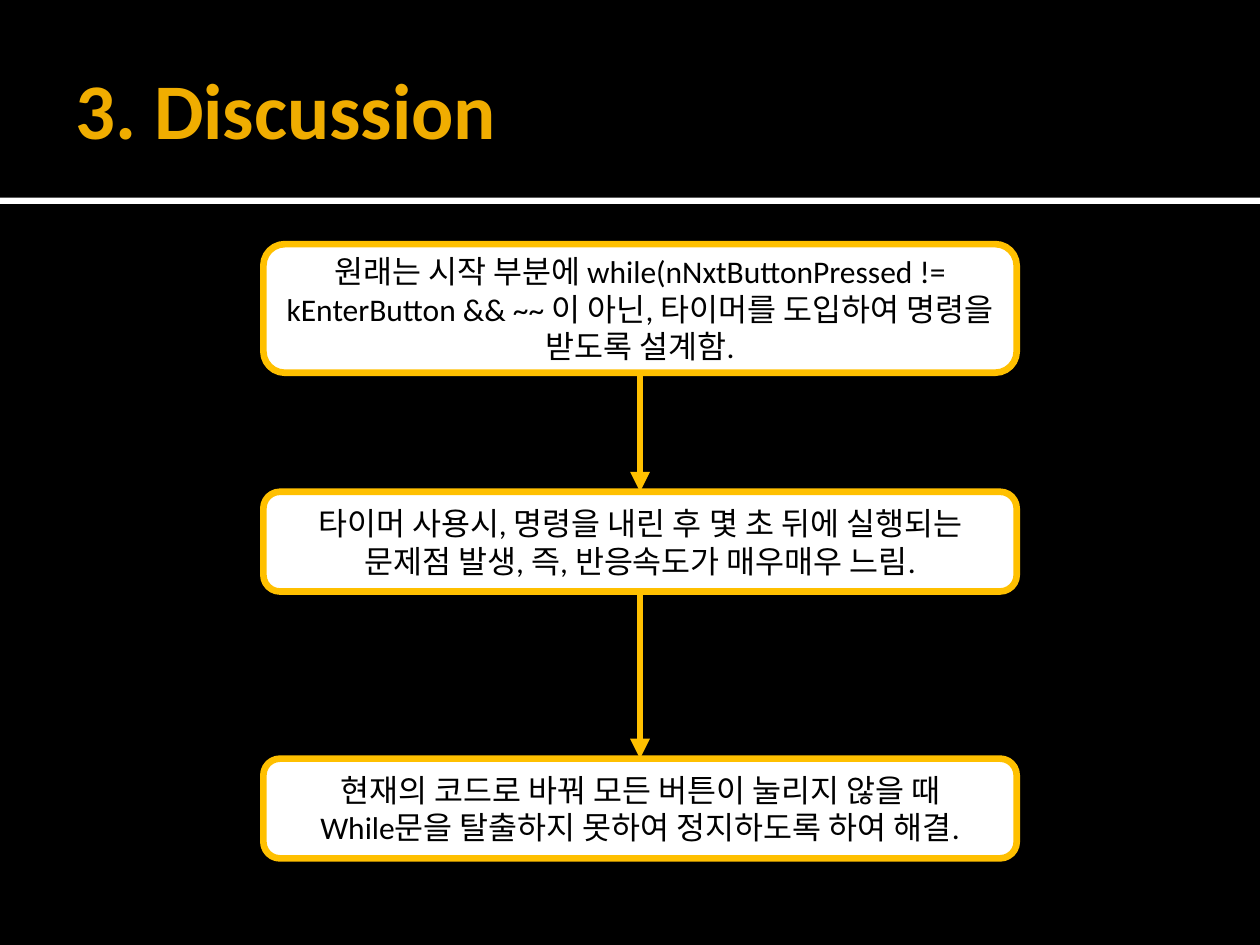
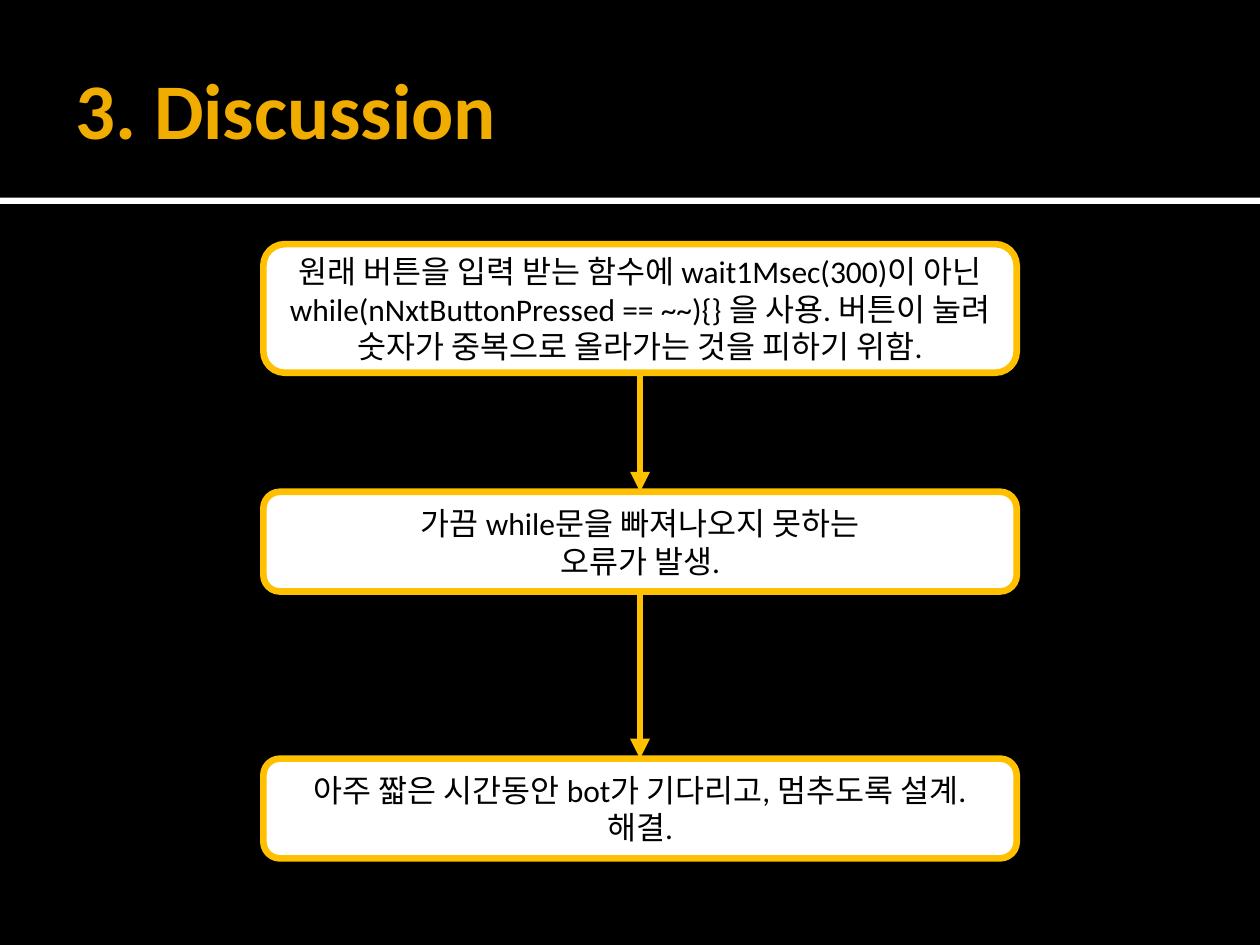
from pptx import Presentation
from pptx.dml.color import RGBColor
from pptx.enum.shapes import MSO_CONNECTOR, MSO_SHAPE
from pptx.enum.text import MSO_ANCHOR, PP_ALIGN
from pptx.oxml.ns import qn
from pptx.util import Pt
from lxml.etree import SubElement

BLACK = RGBColor(0x00, 0x00, 0x00)
WHITE = RGBColor(0xFF, 0xFF, 0xFF)
TITLE_GOLD = RGBColor(0xF0, 0xAD, 0x00)
BOX_GOLD = RGBColor(0xFF, 0xC0, 0x00)
FONT = "Calibri"
WIDTH, HEIGHT = 720, 540
BOX_LEFT, BOX_WIDTH = 150.5, 430.5
BOX_ROWS = [(139.5, 73.5), (281, 57), (433.5, 57)]  # top, height

DISCUSSIONS = [
    [
        ["원래는 시작 부분에 while(nNxtButtonPressed !=",
         "kEnterButton && ~~ 이 아닌, 타이머를 도입하여 명령을 받도록 설계함."],
        ["타이머 사용시, 명령을 내린 후 몇 초 뒤에 실행되는 문제점 발생, 즉, 반응속도가 매우매우 느림."],
        ["현재의 코드로 바꿔 모든 버튼이 눌리지 않을 때",
         "While문을 탈출하지 못하여 정지하도록 하여 해결."],
    ],
    [
        ["원래 버튼을 입력 받는 함수에 wait1Msec(300)이 아닌",
         "while(nNxtButtonPressed == ~~){} 을 사용. 버튼이 눌려 숫자가 중복으로 올라가는 것을 피하기 위함."],
        ["가끔 while문을 빠져나오지 못하는", "오류가 발생."],
        ["아주 짧은 시간동안 bot가 기다리고, 멈추도록 설계.", "해결."],
    ],
]


def write(sp, lines, size=18, color=BLACK, bold=False, align=PP_ALIGN.CENTER):
    tf = sp.text_frame
    tf.word_wrap = True
    tf.vertical_anchor = MSO_ANCHOR.MIDDLE
    for i, line in enumerate(lines):
        p = tf.paragraphs[0] if i == 0 else tf.add_paragraph()
        p.alignment = align
        r = p.add_run()
        r.text = line
        r.font.name = FONT
        r.font.size = Pt(size)
        r.font.bold = bold
        r.font.color.rgb = color


def add_arrow(s, upper, lower):
    """Join the bottom of the upper box to the top of the lower one."""
    arrow = s.shapes.add_connector(MSO_CONNECTOR.STRAIGHT, 0, 0, 0, 0)
    arrow.begin_connect(upper, 2)
    arrow.end_connect(lower, 0)
    arrow.line.color.rgb = BOX_GOLD
    arrow.line.width = Pt(3.8)
    SubElement(arrow.line._get_or_add_ln(), qn("a:tailEnd"), type="triangle")
    SubElement(arrow._element.spPr, qn("a:effectLst"))


prs = Presentation()
prs.slide_width, prs.slide_height = Pt(WIDTH), Pt(HEIGHT)

for steps in DISCUSSIONS:
    s = prs.slides.add_slide(prs.slide_layouts[6])
    s.background.fill.solid()
    s.background.fill.fore_color.rgb = BLACK

    band = s.shapes.add_shape(MSO_SHAPE.RECTANGLE, 0, Pt(113), Pt(WIDTH), Pt(3.6))
    band.shadow.inherit = False
    band.fill.solid()
    band.fill.fore_color.rgb = WHITE
    band.line.fill.background()

    title = s.shapes.add_textbox(Pt(36), Pt(12.25), Pt(648), Pt(98.5))
    title.text_frame.margin_right = Pt(3.6)
    write(title, ["3. Discussion"], size=45, color=TITLE_GOLD, bold=True,
          align=PP_ALIGN.LEFT)

    boxes = []
    for (top, height), lines in zip(BOX_ROWS, steps):
        box = s.shapes.add_shape(MSO_SHAPE.ROUNDED_RECTANGLE, Pt(BOX_LEFT), Pt(top),
                                 Pt(BOX_WIDTH), Pt(height))
        box.shadow.inherit = False
        box.fill.solid()
        box.fill.fore_color.rgb = WHITE
        box.line.color.rgb = BOX_GOLD
        box.line.width = Pt(3.8)
        write(box, lines)
        boxes.append(box)

    for upper, lower in zip(boxes, boxes[1:]):
        add_arrow(s, upper, lower)

prs.save("out.pptx")
